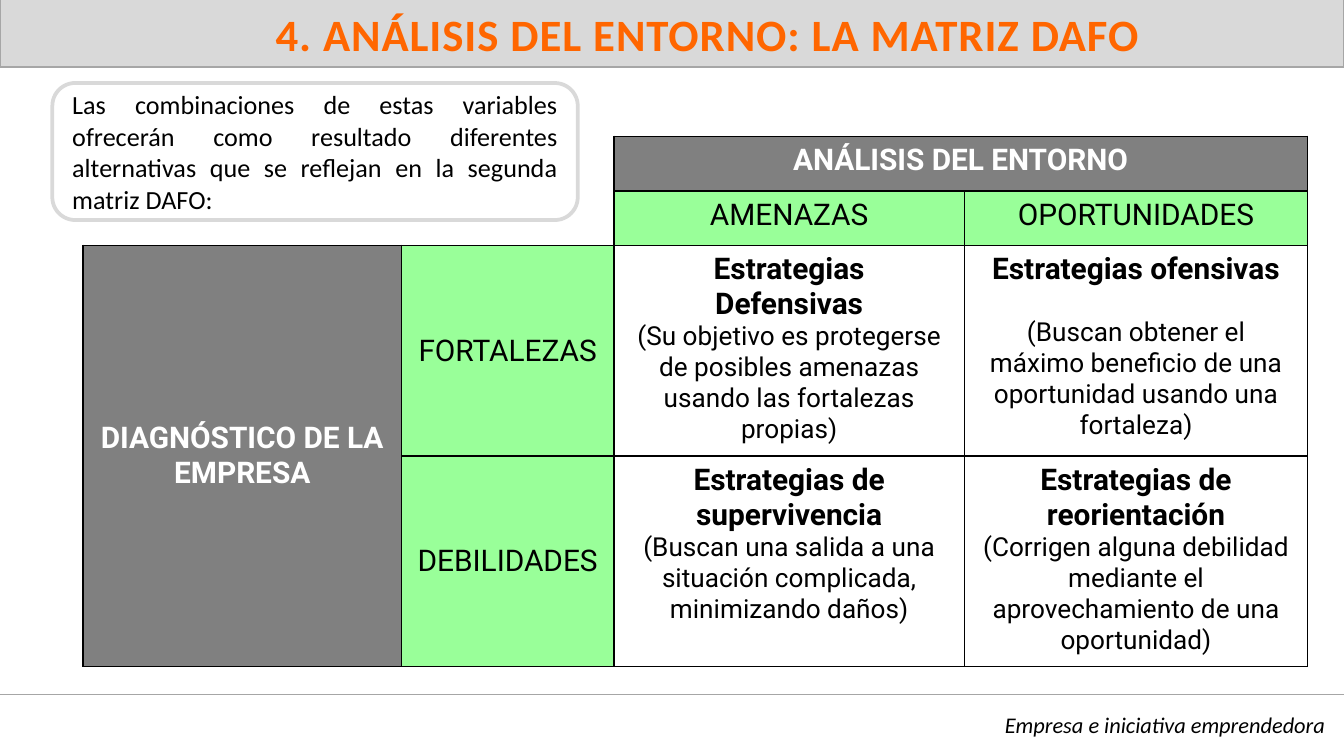
import pptx
import pptx.util
import pptx.dml.color
import pptx.enum.shapes
import pptx.enum.text
import pptx.oxml
import pptx.oxml.ns

Cm, Pt = pptx.util.Cm, pptx.util.Pt
ALIGN, ANCHOR = pptx.enum.text.PP_ALIGN, pptx.enum.text.MSO_ANCHOR
SHAPES = pptx.enum.shapes.MSO_SHAPE
COLORS = {"orange": "FF6600", "band": "D9D9D9", "rule": "A6A6A6", "head": "808080",
          "green": "99FF99", "black": "000000", "white": "FFFFFF"}


def rgb(name):
    """Return the named colour."""
    return pptx.dml.color.RGBColor.from_string(COLORS[name])


def add_run(paragraph, text, size, color="black", font="Calibri", bold=False, italic=False):
    """Add one formatted run and return it."""
    run = paragraph.add_run()
    run.text = text
    run.font.name, run.font.size = font, Pt(size)
    run.font.bold, run.font.italic = bold, italic
    run.font.color.rgb = rgb(color)
    return run


def add_panel(slide, preset, box, fill, line, width):
    """Add an outlined shape with wrapping text and return it."""
    panel = slide.shapes.add_shape(preset, *map(Cm, box))
    panel.shadow.inherit = False
    if fill:
        panel.fill.solid()
        panel.fill.fore_color.rgb = rgb(fill)
    else:
        panel.fill.background()
    panel.line.color.rgb = rgb(line)
    panel.line.width = Pt(width)
    panel.text_frame.word_wrap = True
    return panel


def add_header(slide, box):
    """Add the title band."""
    frame = add_panel(slide, SHAPES.RECTANGLE, box, "band", "rule", 0.75).text_frame
    frame.vertical_anchor = ANCHOR.BOTTOM
    title = frame.paragraphs[0]
    title.alignment = ALIGN.CENTER
    properties = title._p.get_or_add_pPr()
    properties.set("marL", str(Cm(1.35)))
    properties.set("indent", "0")
    run = add_run(title, "4. ANÁLISIS DEL ENTORNO: LA MATRIZ DAFO", 24, "orange", bold=True)
    run.font._element.set("spc", "50")


def add_intro(slide, box):
    """Add the rounded introduction box."""
    frame = add_panel(slide, SHAPES.ROUNDED_RECTANGLE, box, None, "band", 2).text_frame
    frame.vertical_anchor = ANCHOR.MIDDLE
    frame.paragraphs[0].alignment = ALIGN.JUSTIFY
    add_run(frame.paragraphs[0], "Las combinaciones de estas variables ofrecerán como resultado "
            "diferentes alternativas que se reflejan en la segunda matriz DAFO:", 14)


def add_footer(slide, box):
    """Add the footer rule and the course name below it."""
    left, top, width, height = box
    rule = slide.shapes.add_connector(pptx.enum.shapes.MSO_CONNECTOR.STRAIGHT,
                                      Cm(left), Cm(top), Cm(left + width), Cm(top))
    rule.line.color.rgb = rgb("rule")
    rule.line.width = Pt(0.75)
    rule._element.spPr.append(pptx.oxml.parse_xml(
        f"<a:effectLst {pptx.oxml.ns.nsdecls('a')}/>"))
    course = slide.shapes.add_textbox(Cm(left + 2.29), Cm(top + 0.18),
                                      Cm(width - 2.39), Cm(height)).text_frame
    course.word_wrap = True
    course.paragraphs[0].alignment = ALIGN.RIGHT
    add_run(course.paragraphs[0], "Empresa e iniciativa emprendedora", 12, italic=True)


def set_borders(cell, sides):
    """Draw the given sides of a cell in black and hide the others."""
    properties = cell._tc.get_or_add_tcPr()
    for index, side in enumerate("LRTB"):
        fill = (f'<a:solidFill><a:srgbClr val="{COLORS["black"]}"/></a:solidFill>'
                if side in sides else "<a:noFill/>")
        properties.insert(index, pptx.oxml.parse_xml(
            f'<a:ln{side} {pptx.oxml.ns.nsdecls("a")} w="12700">{fill}</a:ln{side}>'))


def fill_cell(cell, lines, fill=None, color="black", middle=False):
    """Write centred (text, size, bold, space before) lines in a cell."""
    if fill:
        cell.fill.solid()
        cell.fill.fore_color.rgb = rgb(fill)
    cell.vertical_anchor = ANCHOR.MIDDLE if middle else ANCHOR.TOP
    for index, (text, size, bold, gap) in enumerate(lines):
        frame = cell.text_frame
        paragraph = frame.add_paragraph() if index else frame.paragraphs[0]
        paragraph.alignment = ALIGN.CENTER
        if gap:
            paragraph.space_before = Pt(gap)
        add_run(paragraph, text, size, color, "Roboto", bold)


def add_matrix(slide, box):
    """Add the strategy matrix."""
    left, top, widths, heights = box
    matrix = slide.shapes.add_table(len(heights), len(widths), Cm(left), Cm(top),
                                    Cm(sum(widths)), Cm(sum(heights))).table
    matrix.first_row = matrix.horz_banding = False
    for column, width in zip(matrix.columns, widths):
        column.width = Cm(width)
    for row, height in zip(matrix.rows, heights):
        row.height = Cm(height)
    blank_sides = {(0, 0): "", (0, 1): "R", (1, 0): "B", (1, 1): "RB"}
    for row in range(len(heights)):
        for column in range(len(widths)):
            cell = matrix.cell(row, column)
            cell.fill.background()
            set_borders(cell, blank_sides.get((row, column), "LRTB"))
    matrix.cell(0, 2).merge(matrix.cell(0, 3))
    matrix.cell(2, 0).merge(matrix.cell(3, 0))

    headings = [(0, 2, "ANÁLISIS DEL ENTORNO"), (2, 0, "DIAGNÓSTICO DE LA EMPRESA")]
    factors = [(1, 2, "AMENAZAS"), (1, 3, "OPORTUNIDADES"),
               (2, 1, "FORTALEZAS"), (3, 1, "DEBILIDADES")]
    for row, column, text in headings:
        fill_cell(matrix.cell(row, column), [(text, 16, True, 0)], "head", "white", row > 1)
    for row, column, text in factors:
        fill_cell(matrix.cell(row, column), [(text, 16, False, 0)], "green", middle=row > 1)

    strategies = [
        (2, 2, ["Estrategias", "Defensivas"], 0,
         "(Su objetivo es protegerse de posibles amenazas usando las fortalezas propias)"),
        (2, 3, ["Estrategias ofensivas"], 16.4,
         "(Buscan obtener el máximo beneficio de una oportunidad usando una fortaleza)"),
        (3, 2, ["Estrategias de supervivencia"], 0,
         "(Buscan una salida a una situación complicada, minimizando daños)"),
        (3, 3, ["Estrategias de reorientación"], 0,
         "(Corrigen alguna debilidad mediante el aprovechamiento de una oportunidad)"),
    ]
    for row, column, names, gap, aim in strategies:
        lines = [(name, 16, True, 0) for name in names] + [(aim, 14, False, gap)]
        fill_cell(matrix.cell(row, column), lines)


def build():
    """Build and save the slide."""
    deck = pptx.Presentation()
    deck.slide_width, deck.slide_height = Cm(25.4), Cm(14.29)
    slide = deck.slides.add_slide(deck.slide_layouts[6])
    add_footer(slide, (0, 13.13, 25.4, 0.76))
    add_header(slide, (0, -0.03, 25.4, 1.3))
    add_intro(slide, (0.99, 1.57, 9.93, 2.59))
    add_matrix(slide, (1.57, 2.58, (6.02, 4.01, 6.63, 6.48), (1.03, 1.03, 3.98, 3.98)))
    deck.save("out.pptx")


build()
